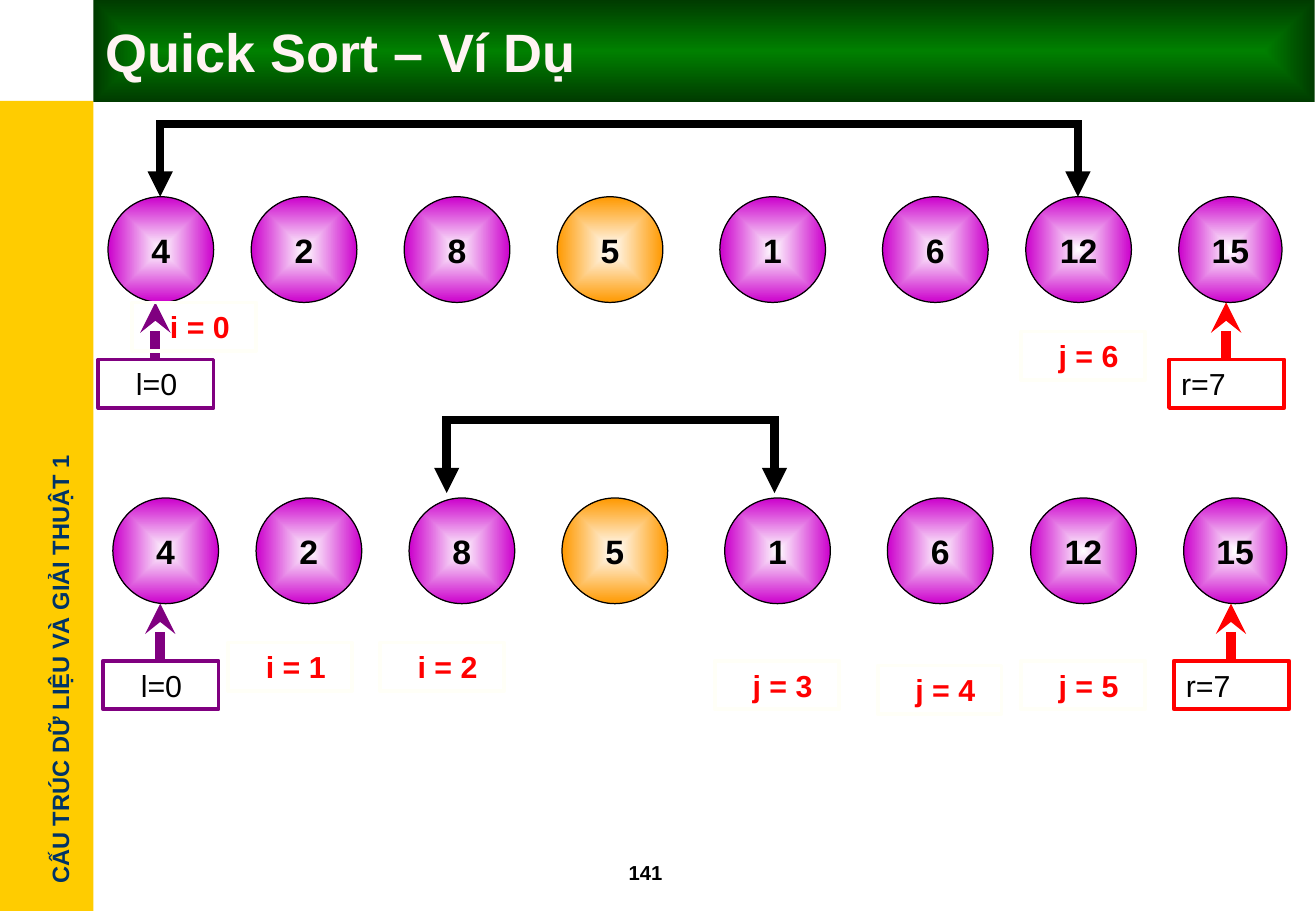
from lxml import etree
from pptx import Presentation
from pptx.dml.color import RGBColor
from pptx.enum.shapes import MSO_CONNECTOR, MSO_SHAPE
from pptx.enum.text import MSO_ANCHOR, PP_ALIGN
from pptx.oxml.ns import qn
from pptx.util import Inches, Pt

RECTANGLE, OVAL = MSO_SHAPE.RECTANGLE, MSO_SHAPE.OVAL
STRAIGHT = MSO_CONNECTOR.STRAIGHT
TOP, MIDDLE = MSO_ANCHOR.TOP, MSO_ANCHOR.MIDDLE
LEFT, CENTER = PP_ALIGN.LEFT, PP_ALIGN.CENTER

TITLE = "Quick Sort – Ví Dụ"
COURSE = "CẤU TRÚC DỮ LIỆU VÀ GIẢI THUẬT 1"
PAGE_NUMBER = "141"

BLACK, WHITE, RED, PURPLE = "000000", "FFFFFF", "FF0000", "800080"
MAGENTA, ORANGE, CREAM = "CC00CC", "FF9900", "FFFFF7"

# value, left, width, rim colour
CIRCLES = [
    ("4", 0.89, 0.87, MAGENTA), ("2", 2.07, 0.87, MAGENTA),
    ("8", 3.33, 0.87, MAGENTA), ("5", 4.59, 0.87, ORANGE),
    ("1", 5.93, 0.87, MAGENTA), ("6", 7.27, 0.87, MAGENTA),
    ("12", 8.45, 0.87, MAGENTA), ("15", 9.71, 0.85, MAGENTA),
]
# text, box left, arrow x, colour, left inset
BOUNDS = [("l=0", 0.81, 1.28, PURPLE, 0.31), ("r=7", 9.63, 10.1, RED, 0.1)]
# row left shift, circle top, swap arrow (from x, to x, tip y)
STEPS = [
    (0, 1.62, (1.32, 8.88, 1.62)),
    (0.04, 4.1, (3.68, 6.38, 4.06)),
]
# text, left, top
INDEX_LABELS = [
    ("j = 6", 8.41, 2.73), ("i = 0", 1.09, 2.49), ("i = 1", 1.88, 5.29),
    ("j = 5", 8.41, 5.44), ("i = 2", 3.13, 5.29), ("j = 4", 7.23, 5.48),
    ("j = 3", 5.89, 5.44),
]
CIRCLE_HEIGHT = 0.87
ARROW_LENGTH = 0.47
SWAP_RISE = 0.6
BOX_HEIGHT = 0.4
INDENTED = 0.31


def rgb(value):
    return RGBColor.from_string(value)


def write(shape, text, size, color=BLACK, bold=True, anchor=TOP, align=LEFT,
          wrap=True, inset=0.1):
    frame = shape.text_frame
    frame.word_wrap = wrap
    frame.vertical_anchor = anchor
    frame.margin_left, frame.margin_right = Inches(inset), Inches(0.1)
    frame.margin_top = frame.margin_bottom = Inches(0.05)
    paragraph = frame.paragraphs[0]
    paragraph.alignment = align
    run = paragraph.add_run()
    run.text = text
    run.font.name, run.font.size, run.font.bold = "Arial", Pt(size), bold
    run.font.color.rgb = rgb(color)


def set_line(shape, color, width):
    shape.line.color.rgb = rgb(color)
    shape.line.width = Pt(width)


def add_box(slide, kind, left, top, width, height, fill=None, line=None):
    """Add a preset shape; line is (colour, points)."""
    shape = slide.shapes.add_shape(
        kind, Inches(left), Inches(top), Inches(width), Inches(height))
    shape.shadow.inherit = False
    if fill:
        shape.fill.solid()
        shape.fill.fore_color.rgb = rgb(fill)
    else:
        shape.fill.background()
    if line:
        set_line(shape, *line)
    else:
        shape.line.fill.background()
    return shape


def fill_from_center(shape, inner, outer):
    """Fill with a rectangular gradient that starts at the middle."""
    shape.fill.gradient()
    for stop, color in zip(shape.fill.gradient_stops, (inner, outer)):
        stop.color.rgb = rgb(color)
    linear = shape.element.spPr.find(".//" + qn("a:lin"))
    gradient = linear.getparent()
    gradient.remove(linear)
    path = etree.SubElement(gradient, qn("a:path"), {"path": "rect"})
    etree.SubElement(path, qn("a:fillToRect"),
                     {side: "50000" for side in "ltrb"})


def add_line_ends(shape, **ends):
    outline = shape.element.spPr.find(qn("a:ln"))
    etree.SubElement(outline, qn("a:miter"), {"lim": "800000"})
    for end, kind in ends.items():
        etree.SubElement(outline, qn("a:" + end), {"type": kind})


def add_pointer(slide, x, bottom, color):
    arrow = slide.shapes.add_connector(
        STRAIGHT, Inches(x), Inches(bottom),
        Inches(x), Inches(bottom - ARROW_LENGTH))
    set_line(arrow, color, 6)
    add_line_ends(arrow, tailEnd="stealth")
    etree.SubElement(arrow.element.spPr, qn("a:effectLst"))


def add_swap(slide, start, end, tip):
    """Draw a two-headed bracket arrow between the swapped values."""
    top = tip - SWAP_RISE
    builder = slide.shapes.build_freeform(Inches(start), Inches(tip))
    corners = [(start, top), (end, top), (end, tip)]
    builder.add_line_segments(
        [(Inches(x), Inches(y)) for x, y in corners], close=False)
    bracket = builder.convert_to_shape()
    bracket.shadow.inherit = False
    bracket.fill.background()
    set_line(bracket, BLACK, 5)
    add_line_ends(bracket, headEnd="triangle", tailEnd="triangle")


def add_step(slide, shift, top, swap):
    for value, left, width, rim in CIRCLES:
        circle = add_box(slide, OVAL, left + shift, top, width, CIRCLE_HEIGHT,
                         line=(BLACK, 0.75))
        fill_from_center(circle, WHITE, rim)
        write(circle, value, 20, anchor=MIDDLE, align=CENTER, wrap=False)
    box_top = top + CIRCLE_HEIGHT + ARROW_LENGTH
    for text, left, arrow_x, color, inset in BOUNDS:
        box = add_box(slide, RECTANGLE, left + shift, box_top, 0.95,
                      BOX_HEIGHT, line=(color, 2.25))
        write(box, text, 18, bold=False, inset=inset)
        add_pointer(slide, arrow_x + shift, box_top, color)
    add_swap(slide, *swap)


def add_frame(slide):
    """Add the side band, course name, page number and title bar."""
    add_box(slide, RECTANGLE, 0, 0.83, 0.77, 6.67, fill="FFCC00")
    course = slide.shapes.add_textbox(
        Inches(-1.37), Inches(5.34), Inches(3.73), Inches(0.34))
    course.rotation = 270
    write(course, COURSE, 14, "003366", wrap=False)
    page = slide.shapes.add_textbox(
        Inches(5.08), Inches(7.03), Inches(0.83), Inches(0.3))
    write(page, PAGE_NUMBER, 12)
    title = add_box(slide, RECTANGLE, 0.77, 0, 10.06, 0.84)
    fill_from_center(title, "008000", "003B00")
    write(title, TITLE, 32, "FFF3F3", anchor=MIDDLE)


def main():
    presentation = Presentation()
    presentation.slide_width = Inches(10.84)
    presentation.slide_height = Inches(7.5)
    slide = presentation.slides.add_slide(presentation.slide_layouts[6])
    add_frame(slide)
    for step in STEPS:
        add_step(slide, *step)
    for text, left, top in INDEX_LABELS:
        label = add_box(slide, RECTANGLE, left, top, 1.02, BOX_HEIGHT,
                        line=(CREAM, 2.25))
        write(label, text, 18, RED, inset=INDENTED)
    presentation.save("out.pptx")


if __name__ == "__main__":
    main()
